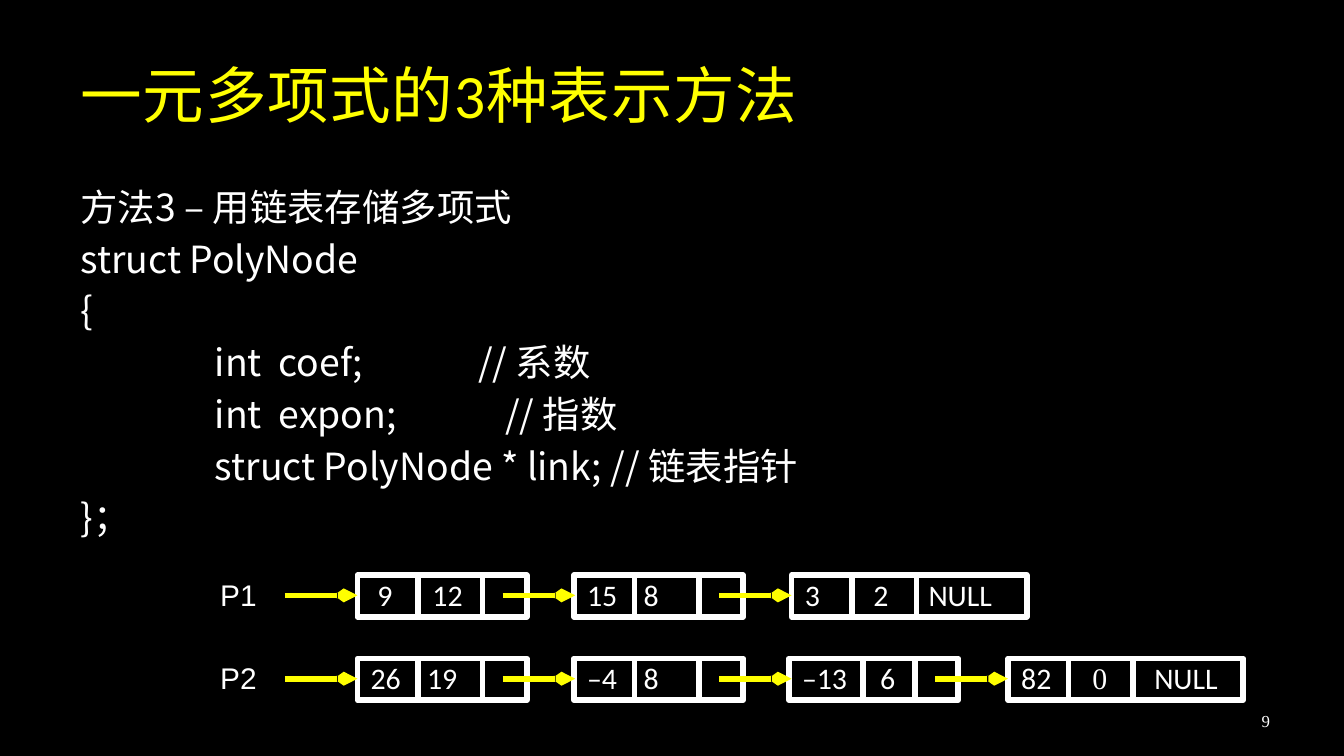
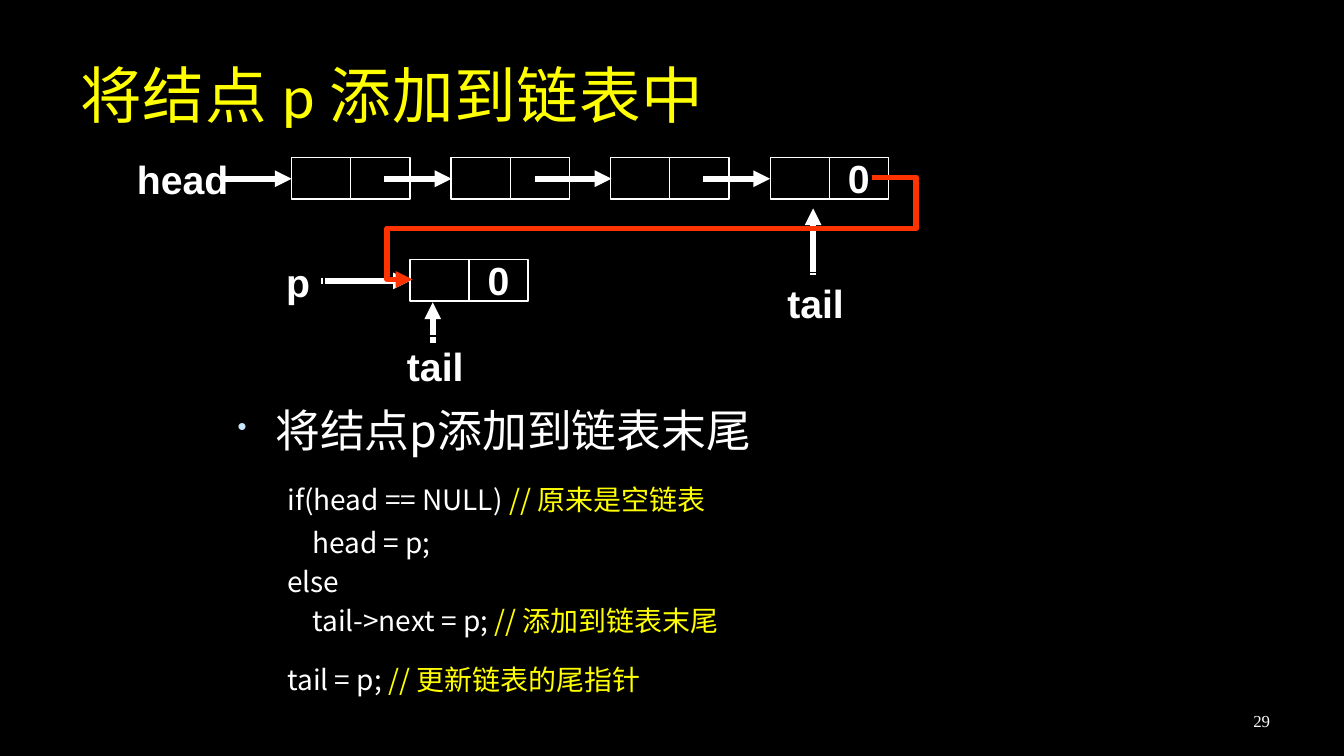
import dataclasses
import typing

import lxml.etree
import pptx
import pptx.dml.color
import pptx.enum.shapes
import pptx.enum.text
import pptx.oxml.ns
import pptx.util

Inches = pptx.util.Inches
Pt = pptx.util.Pt
qn = pptx.oxml.ns.qn
ANCHOR = pptx.enum.text.MSO_ANCHOR
ALIGN = pptx.enum.text.PP_ALIGN

BLACK, WHITE, YELLOW, RED, SKY = "000000", "FFFFFF", "FFFF00", "FF3300", "C6E7FC"
CJK = "Noto Sans CJK SC"
NODE_H = 0.31
CELL_W = 0.44


@dataclasses.dataclass(frozen=True)
class Style:
    size: float
    font: str
    color: str = WHITE
    bold: bool = False


TITLE = Style(33, "Calibri", YELLOW)
NUMBER = Style(9, "Times New Roman")
CODE = Style(20, CJK)
BULLET = Style(24, CJK)
SMALL = Style(15, CJK)
NOTE = Style(15, CJK, YELLOW)
VALUE = Style(16, "Calibri")
ZERO = Style(16, "Times New Roman")
POINTER = Style(16, "Arial")
LABEL = Style(21, "Arial", bold=True)

Run = tuple[str, Style]


@dataclasses.dataclass(frozen=True)
class Para:
    runs: tuple[Run, ...]
    before: float = 0
    left: float = 0
    tabs: tuple[float, ...] = ()
    bullet: bool = False
    align: typing.Any = ALIGN.LEFT


@dataclasses.dataclass(frozen=True)
class Node:
    x: float
    width: float
    splits: tuple[float, float]
    runs: tuple[Run, ...]
    tabs: tuple[float, ...]


def rgb(value: str) -> pptx.dml.color.RGBColor:
    return pptx.dml.color.RGBColor.from_string(value)


def apply(obj: typing.Any, values: dict[str, typing.Any]) -> None:
    for name, value in values.items():
        setattr(obj, name, value)


def child(parent: typing.Any, tag: str, **attrs: str) -> typing.Any:
    return lxml.etree.SubElement(parent, qn(tag), attrs)


def write_run(p: typing.Any, text: str, style: Style) -> None:
    r = p.add_run()
    r.text = text
    apply(r.font, {"size": Pt(style.size), "name": style.font, "bold": style.bold})
    r.font.color.rgb = rgb(style.color)
    child(r.font._element, "a:ea", typeface=CJK)


def write(tf: typing.Any, paras: typing.Sequence[Para], inset: tuple[float, float] = (0.1, 0.05),
          anchor: typing.Any = ANCHOR.TOP, wrap: bool = True) -> None:
    dx, dy = (Inches(v) for v in inset)
    apply(tf, {"word_wrap": wrap, "vertical_anchor": anchor, "margin_left": dx,
               "margin_right": dx, "margin_top": dy, "margin_bottom": dy})
    for i, para in enumerate(paras):
        p = tf.paragraphs[0] if i == 0 else tf.add_paragraph()
        pPr = p._p.get_or_add_pPr()
        if para.left:
            pPr.set("marL", str(Inches(para.left)))
            pPr.set("indent", str(-Inches(para.left) if para.bullet else 0))
        if para.bullet:
            child(child(pPr, "a:buClr"), "a:srgbClr", val=SKY)
            child(pPr, "a:buSzPct", val="60000")
            child(pPr, "a:buChar", char="•")
        if para.tabs:
            tabs = child(pPr, "a:tabLst")
            for tab in para.tabs:
                child(tabs, "a:tab", pos=str(Inches(tab)), algn="l")
        apply(p, {"alignment": para.align, "space_before": Pt(para.before), "line_spacing": 1.0})
        for text, style in para.runs:
            write_run(p, text, style)


def text_box(s: typing.Any, x: float, y: float, w: float, h: float,
             paras: typing.Sequence[Para], **options: typing.Any) -> None:
    sp = s.shapes.add_textbox(Inches(x), Inches(y), Inches(w), Inches(h))
    write(sp.text_frame, paras, **options)


def rect(s: typing.Any, x: float, y: float, w: float, h: float, color: str, weight: float,
         paras: typing.Sequence[Para] = (), **options: typing.Any) -> None:
    sp = s.shapes.add_shape(pptx.enum.shapes.MSO_SHAPE.RECTANGLE,
                            Inches(x), Inches(y), Inches(w), Inches(h))
    sp.shadow.inherit = False
    sp.fill.background()
    sp.line.color.rgb = rgb(color)
    sp.line.width = Pt(weight)
    write(sp.text_frame, paras, **options)


def line(s: typing.Any, x1: float, y1: float, x2: float, y2: float, color: str = WHITE,
         head: str = "", head_width: str = "med",
         kind: typing.Any = pptx.enum.shapes.MSO_CONNECTOR.STRAIGHT) -> typing.Any:
    c = s.shapes.add_connector(kind, Inches(x1), Inches(y1), Inches(x2), Inches(y2))
    c.line.color.rgb = rgb(color)
    c.line.width = Pt(3)
    if head:
        child(c.line._get_or_add_ln(), "a:tailEnd", type=head, w=head_width)
    child(c._element.spPr, "a:effectLst")
    return c


def new_slide(prs: typing.Any, title: str, number: int) -> typing.Any:
    s = prs.slides.add_slide(prs.slide_layouts[5])
    sp = s.shapes.title
    apply(sp, {"left": Inches(0.5), "top": Inches(0.23),
               "width": Inches(8.5), "height": Inches(0.94)})
    write(sp.text_frame, [Para(((title, TITLE),))], anchor=ANCHOR.MIDDLE)
    for rPr in sp._element.iter(qn("a:rPr")):
        rPr.set("spc", "40")
    text_box(s, 7.17, 5.21, 2.33, 0.3, [Para(((str(number), NUMBER),), align=ALIGN.RIGHT)],
             inset=(0.05, 0.05), anchor=ANCHOR.MIDDLE)
    return s


def poly_row(s: typing.Any, name: str, y: float, nodes: typing.Sequence[Node]) -> None:
    rect(s, 1.54, y, 0.72, NODE_H, BLACK, 3, [Para(((name, POINTER),))], inset=(0.1, 0.01))
    for node in nodes:
        rect(s, node.x, y, node.width, NODE_H, WHITE, 3,
             [Para(node.runs, tabs=node.tabs)], inset=(0.1, 0.01))
        for split in node.splits:
            line(s, node.x + split, y + NODE_H, node.x + split, y)
    starts = [2.12] + [node.x + node.splits[1] + 0.15 for node in nodes[:-1]]
    for start in starts:
        line(s, start, y + 0.15, start + 0.54, y + 0.15, YELLOW, "arrow", "sm")


def polynomial_slide(prs: typing.Any) -> None:
    s = new_slide(prs, "一元多项式的3种表示方法", 9)
    code = [("方法3 – 用链表存储多项式", ()), ("struct PolyNode", ()), ("{", ()),
            ("\tint  coef;\t// 系数", (1, 2.96)), ("\tint  expon;\t// 指数", (1, 3.16)),
            ("\tstruct PolyNode * link; // 链表指针", (1,)), ("}；", ())]
    text_box(s, 0.5, 1.32, 9, 2.52,
             [Para(((text, CODE),), 3.7 if i else 0, tabs=tabs)
              for i, (text, tabs) in enumerate(code)])
    short, long, splits = 1.26, 1.75, (0.45, 0.93)
    poly_row(s, "P1", 4.28, [
        Node(2.66, short, splits, (("\t9\t12", VALUE),), (0.05, 0.46)),
        Node(4.27, short, splits, (("15\t8", VALUE),), (0.42,)),
        Node(5.89, long, splits, (("3\t2\tNULL", VALUE),), (0.51, 0.92))])
    poly_row(s, "P2", 4.9, [
        Node(2.66, short, splits, (("26\t19", VALUE),), (0.42,)),
        Node(4.27, short, splits, (("–4\t8", VALUE),), (0.42,)),
        Node(5.87, short, (0.55, 0.94), (("–13\t6", VALUE),), (0.58,)),
        Node(7.5, long, splits,
             (("82\t", VALUE), ("0\t", ZERO), ("NULL", VALUE)), (0.53, 0.99))])


def list_node(s: typing.Any, x: float, y: float, value: str = "") -> None:
    rect(s, x, y, CELL_W, NODE_H, WHITE, 0.75)
    paras = [Para(((value, LABEL),), align=ALIGN.CENTER)] if value else []
    rect(s, x + CELL_W, y, CELL_W, NODE_H, WHITE, 0.75, paras, anchor=ANCHOR.MIDDLE, wrap=False)


def label(s: typing.Any, text: str, x: float, y: float, w: float) -> None:
    rect(s, x, y, w, 0.45, BLACK, 0.75, [Para(((text, LABEL),))], wrap=False)


def append_slide(prs: typing.Any) -> None:
    s = new_slide(prs, "将结点 p 添加到链表中", 29)
    steps = [Para((("将结点p添加到链表末尾", BULLET),), left=0.28, bullet=True)]
    code = [("if(head == NULL) ", "// 原来是空链表", 14), ("    head = p;", "", 4.9),
            ("else", "", 2.8), ("    tail->next = p; ", "// 添加到链表末尾", 2.8),
            ("tail = p; ", "// 更新链表的尾指针", 13.5)]
    for text, note, before in code:
        runs = ((text, SMALL), (note, NOTE)) if note else ((text, SMALL),)
        steps.append(Para(runs, before, 0.37))
    text_box(s, 1.67, 2.95, 5.58, 2.58, steps)

    label(s, "head", 0.92, 1.11, 0.89)
    for i in range(4):
        list_node(s, 2.17 + 1.187 * i, 1.17, "0" if i == 3 else "")
    for start, end in ((1.67, 2.17), (2.86, 3.36), (3.98, 4.55), (5.23, 5.73)):
        line(s, start, 1.33, end, 1.33, head="triangle")
    list_node(s, 3.05, 1.93, "0")
    line(s, 2.39, 2.09, 3.05, 2.09, head="triangle")
    label(s, "p", 2.03, 1.87, 0.38)
    for x, tip, start, top in ((6.05, 1.55, 2.05, 2.03), (3.22, 2.25, 2.55, 2.5)):
        line(s, x, start, x, tip, head="triangle")
        label(s, "tail", x - 0.29, top, 0.63)

    link = line(s, 6.63, 1.32, 3.07, 2.08, RED, "triangle",
                kind=pptx.enum.shapes.MSO_CONNECTOR.ELBOW)
    geom = link._element.spPr.find(qn("a:prstGeom"))
    geom.set("prst", "bentConnector5")
    guides = geom.find(qn("a:avLst"))
    if guides is None:
        guides = child(geom, "a:avLst")
    for i, value in enumerate((-5300, 50000, 105300), 1):
        child(guides, "a:gd", name=f"adj{i}", fmla=f"val {value}")
    line(s, 6.49, 1.32, 6.63, 1.32, RED)


def main() -> None:
    prs = pptx.Presentation()
    apply(prs, {"slide_width": Inches(10), "slide_height": Inches(10) * 9 // 16})
    fill = prs.slide_master.background.fill
    fill.solid()
    fill.fore_color.rgb = rgb(BLACK)
    polynomial_slide(prs)
    append_slide(prs)
    prs.save("out.pptx")


if __name__ == "__main__":
    main()
